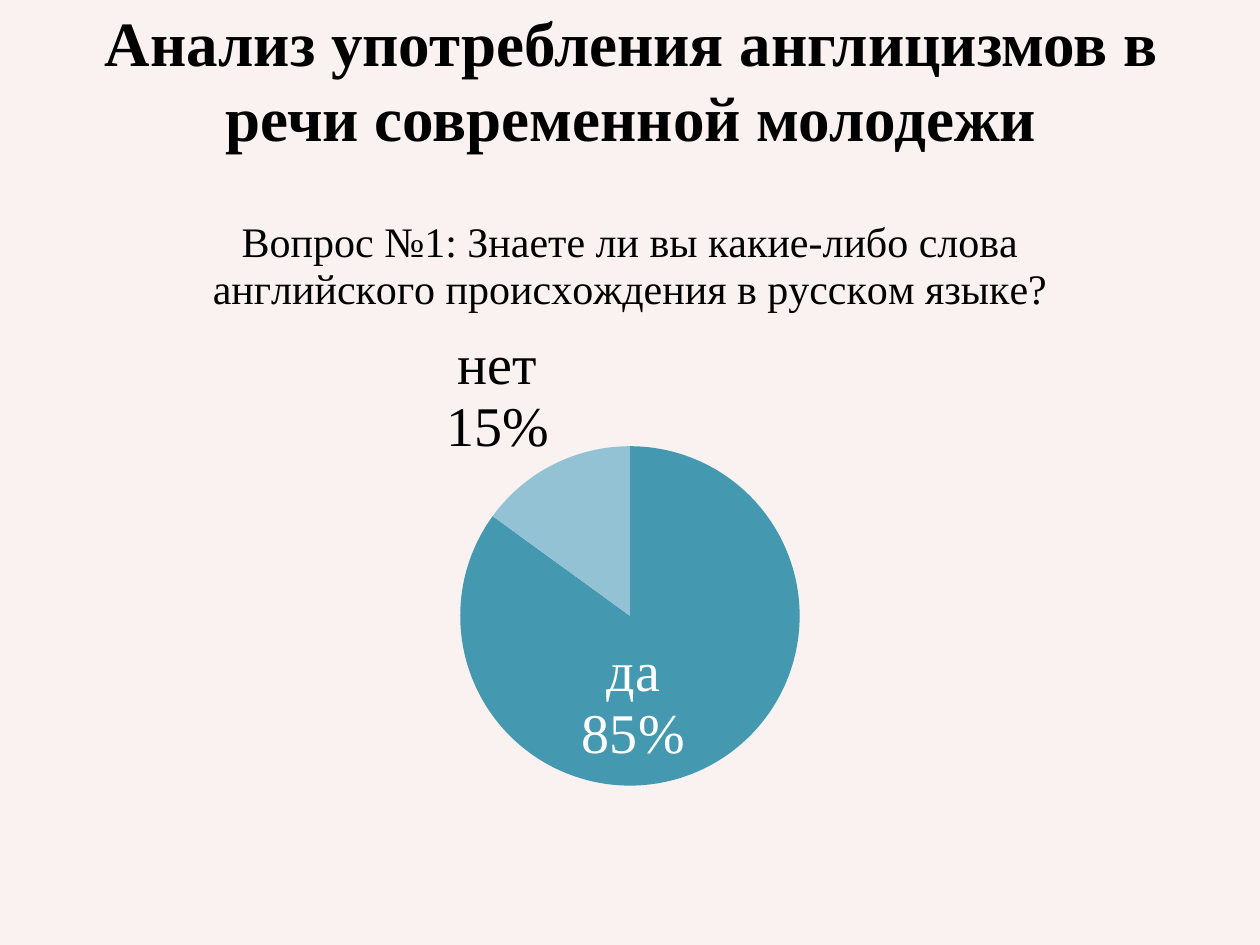
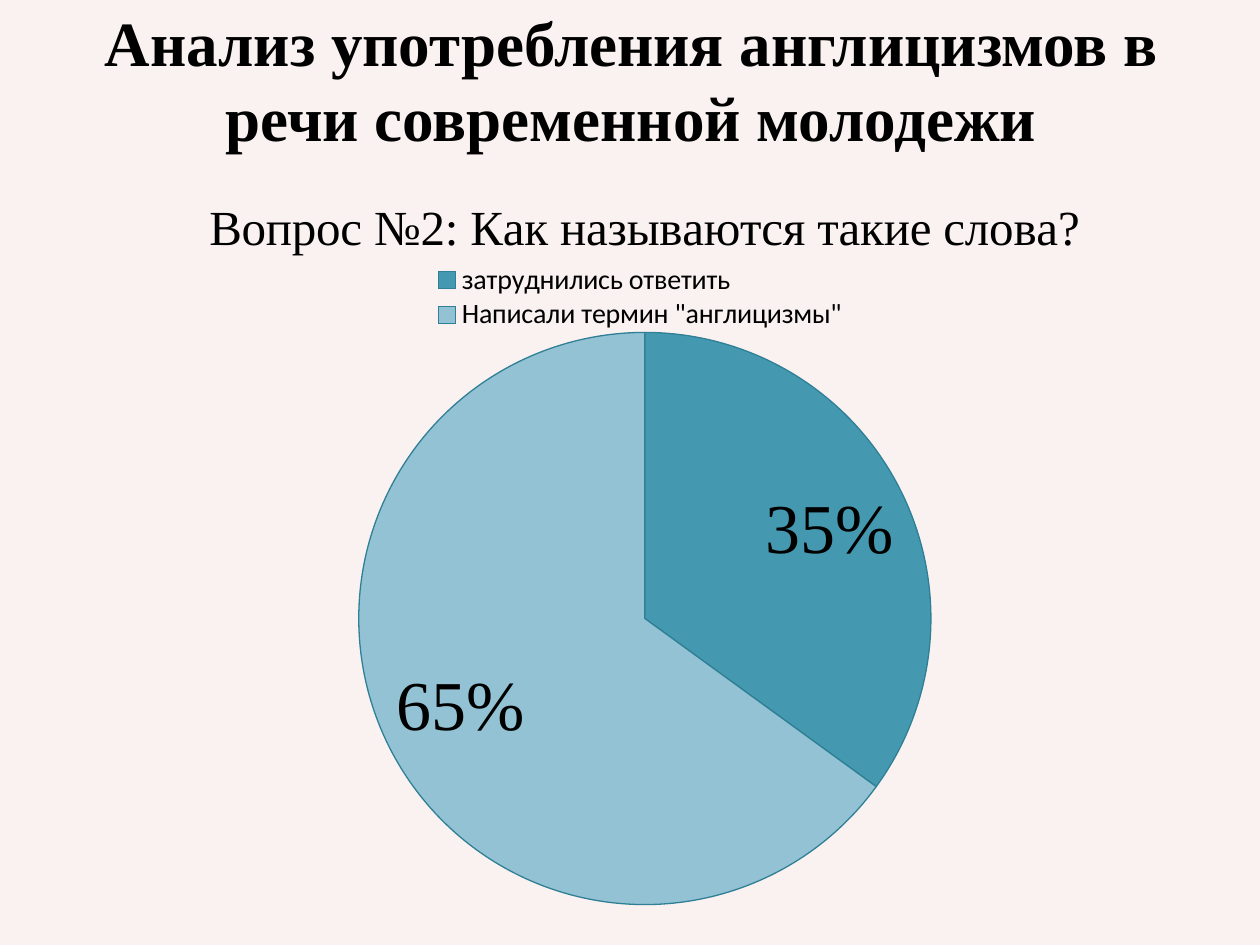
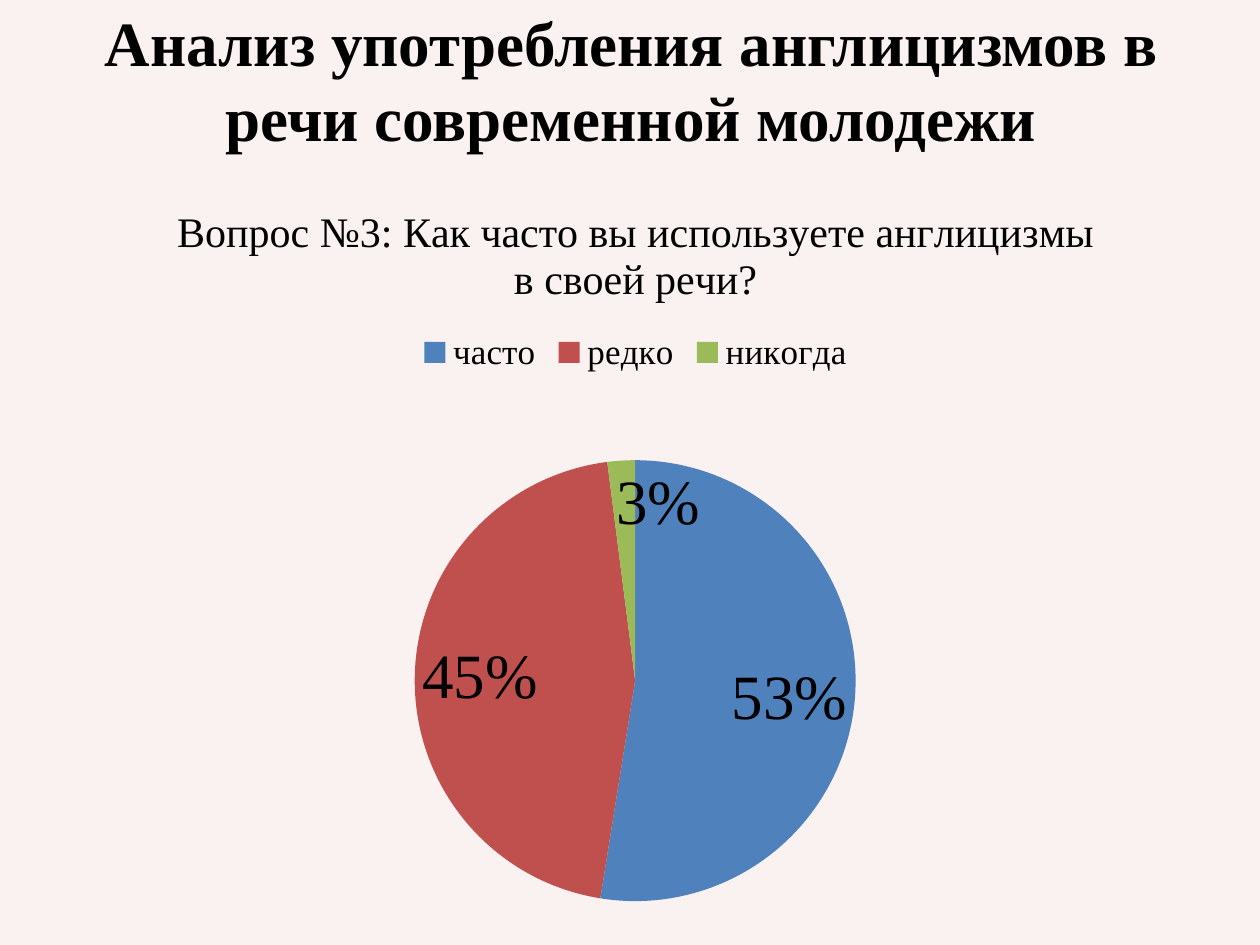
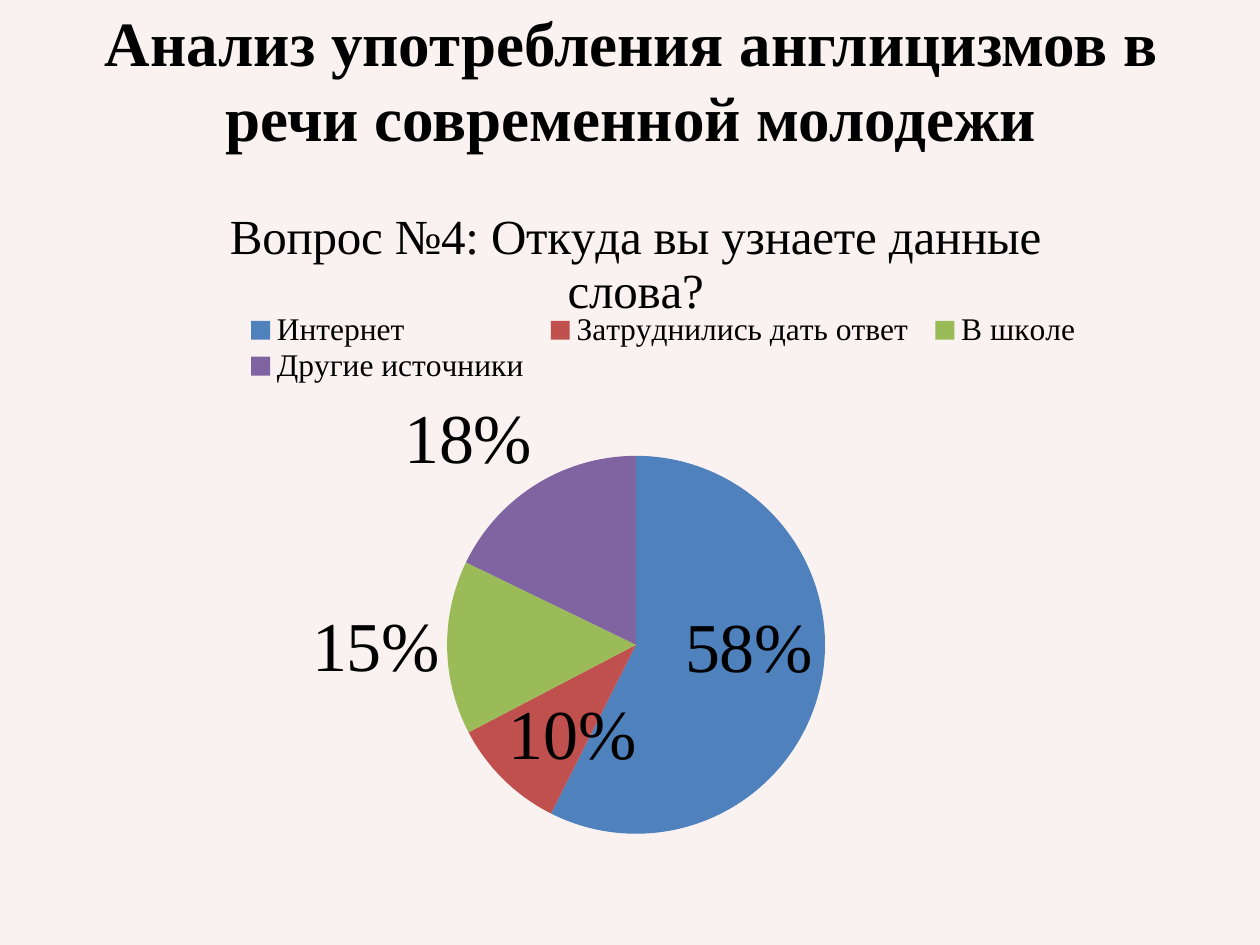
from dataclasses import dataclass

from lxml.etree import SubElement
from pptx import Presentation
from pptx.chart.chart import Chart
from pptx.chart.data import CategoryChartData
from pptx.dml.color import RGBColor
from pptx.enum.chart import XL_CHART_TYPE, XL_LABEL_POSITION, XL_LEGEND_POSITION
from pptx.enum.text import MSO_ANCHOR, MSO_AUTO_SIZE, PP_ALIGN
from pptx.oxml.ns import qn
from pptx.oxml.xmlchemy import BaseOxmlElement
from pptx.slide import Slide
from pptx.util import Pt

# Shared look
COLORS = {
    "background": "FAF1F1",
    "text": "000000",
    "white": "FFFFFF",
    "teal": "4499B1",
    "light_teal": "92C2D4",
    "dark_teal": "2F7F95",
    "blue": "4F81BD",
    "red": "C0504D",
    "green": "9BBB59",
    "purple": "8064A2",
}
SERIF = "Times New Roman"
SANS = "Calibri"
HEADING = "Анализ употребления англицизмов в речи современной молодежи"

INSIDE = XL_LABEL_POSITION.INSIDE_END
OUTSIDE = XL_LABEL_POSITION.OUTSIDE_END
CENTER = XL_LABEL_POSITION.CENTER

Box = tuple[float, float, float, float]


@dataclass(frozen=True)
class Answer:
    """One slice; shift moves its label by points, text replaces its percentage."""
    name: str
    share: int
    color: str
    label_at: XL_LABEL_POSITION = INSIDE
    label_color: str = "text"
    shift: tuple[float, float] = (0, 0)
    text: str = ""


@dataclass(frozen=True)
class Question:
    """One survey question; boxes and the pie centre are in slide points."""
    title: str
    title_size: int
    frame: Box
    pie_center: tuple[float, float]
    pie_radius: float
    label_size: int
    answers: tuple[Answer, ...]
    legend_size: int = 0
    legend_font: str = SERIF
    legend_box: Box | None = None
    outline: str = ""
    names_in_labels: bool = False


QUESTIONS = (
    Question(
        "Вопрос №1: Знаете ли вы какие-либо слова английского происхождения в русском языке?",
        24, (8.64, 105.84, 702.72, 419.76), (360, 352), 97, 32,
        (Answer("да", 85, "teal", CENTER, "white", shift=(-20, 7)),
         Answer("нет", 15, "light_teal", OUTSIDE)),
        names_in_labels=True,
    ),
    Question(
        "Вопрос №2: Как называются такие слова?",
        28, (30.96, 94.32, 674.64, 436.32), (368.5, 353.5), 163.5, 40,
        (Answer("затруднились ответить", 35, "teal"),
         Answer('Написали термин "англицизмы"', 65, "light_teal")),
        legend_size=16, legend_font=SANS, legend_box=(246, 150, 240, 40),
        outline="dark_teal",
    ),
    Question(
        "Вопрос №3: Как часто вы используете англицизмы в своей речи?",
        24, (20.16, 100.08, 686.16, 425.52), (363, 389), 126, 36,
        (Answer("часто", 52, "blue"),
         Answer("редко", 45, "red"),
         Answer("никогда", 2, "green", shift=(21, 0), text="3%")),
        legend_size=20,
    ),
    Question(
        "Вопрос №4: Откуда вы узнаете данные слова?",
        28, (20.16, 100.08, 686.16, 414), (363.5, 368.5), 108, 40,
        (Answer("Интернет", 58, "blue", text="58%"),
         Answer("Затруднились дать ответ", 10, "red"),
         Answer("В школе", 15, "green", OUTSIDE),
         Answer("Другие источники", 18, "purple", OUTSIDE)),
        legend_size=18, legend_box=(134, 178, 490, 42),
    ),
)


def rgb(color: str) -> RGBColor:
    return RGBColor.from_string(COLORS[color])


def style_font(font, size: float, name: str = SERIF, color: str = "text",
               bold: bool = False) -> None:
    font.size = Pt(size)
    font.name = name
    font.bold = bold
    font.color.rgb = rgb(color)


def set_layout(parent: BaseOxmlElement, index: int, **values: str | float) -> None:
    """Give a chart part a manual layout, as its child number index."""
    for old in parent.findall(qn("c:layout")):
        parent.remove(old)
    layout = SubElement(parent, qn("c:layout"))
    manual = SubElement(layout, qn("c:manualLayout"))
    for tag, value in values.items():
        SubElement(manual, qn(f"c:{tag}")).set("val", str(value))
    parent.insert(index, layout)


def box_fractions(box: Box, frame: Box) -> dict[str, float]:
    """Turn a box on the slide into fractions of the chart frame."""
    left, top, width, height = box
    return {
        "x": (left - frame[0]) / frame[2],
        "y": (top - frame[1]) / frame[3],
        "w": width / frame[2],
        "h": height / frame[3],
    }


def add_heading(slide: Slide) -> None:
    heading = slide.shapes.title
    heading.left, heading.top = Pt(36.72), Pt(0)
    heading.width, heading.height = Pt(648), Pt(90)
    frame = heading.text_frame
    frame.word_wrap = True
    frame.auto_size = MSO_AUTO_SIZE.NONE
    frame.vertical_anchor = MSO_ANCHOR.MIDDLE
    paragraph = frame.paragraphs[0]
    paragraph.alignment = PP_ALIGN.CENTER
    run = paragraph.add_run()
    run.text = HEADING
    style_font(run.font, 36, bold=True)


def add_legend(chart: Chart, question: Question) -> None:
    chart.has_legend = True
    legend = chart.legend
    legend.position = XL_LEGEND_POSITION.TOP
    legend.include_in_layout = False
    style_font(legend.font, question.legend_size, question.legend_font)
    if question.legend_box:
        set_layout(chart._chartSpace.xpath("c:chart/c:legend")[0], 1,
                   xMode="edge", yMode="edge",
                   **box_fractions(question.legend_box, question.frame))


def add_labels(chart: Chart, question: Question) -> None:
    series = chart.plots[0].series[0]
    labels = series.data_labels
    labels.number_format = "0%"
    labels.number_format_is_linked = False
    labels.position = INSIDE
    style_font(labels.font, question.label_size)

    # Labels that differ from the series default
    for index, answer in enumerate(question.answers):
        label = series.points[index].data_label
        if answer.text:
            run = label.text_frame.paragraphs[0].add_run()
            run.text = answer.text
            style_font(run.font, question.label_size, color=answer.label_color)
        else:
            style_font(label.font, question.label_size, color=answer.label_color)
        label.position = answer.label_at
        if any(answer.shift):
            element = chart._chartSpace.xpath(f'.//c:dLbl[c:idx/@val="{index}"]')[0]
            set_layout(element, 1, x=answer.shift[0] / question.frame[2],
                       y=answer.shift[1] / question.frame[3])

    # What every label shows
    flags = {"showVal": 0, "showPercent": 1, "showLeaderLines": 0,
             "showCatName": int(question.names_in_labels)}
    for tag, value in flags.items():
        for flag in chart._chartSpace.xpath(f".//c:{tag}"):
            flag.set("val", str(value))
    if question.names_in_labels:
        for flag in chart._chartSpace.xpath(".//c:showBubbleSize"):
            separator = SubElement(flag.getparent(), qn("c:separator"))
            separator.text = "\n"
            flag.addnext(separator)


def add_pie(slide: Slide, question: Question) -> None:
    data = CategoryChartData()
    data.categories = [answer.name for answer in question.answers]
    data.add_series("Series 1", [answer.share for answer in question.answers])
    left, top, width, height = map(Pt, question.frame)
    chart = slide.shapes.add_chart(XL_CHART_TYPE.PIE, left, top, width, height, data).chart
    style_font(chart.font, 10, SANS)

    # Question as chart title
    chart.has_title = True
    run = chart.chart_title.text_frame.paragraphs[0].add_run()
    run.text = question.title
    style_font(run.font, question.title_size)

    # Slices
    plot = chart.plots[0]
    plot.vary_by_categories = True
    for index, answer in enumerate(question.answers):
        slice_format = plot.series[0].points[index].format
        slice_format.fill.solid()
        slice_format.fill.fore_color.rgb = rgb(answer.color)
        if question.outline:
            slice_format.line.color.rgb = rgb(question.outline)
            slice_format.line.width = Pt(0.75)
        else:
            slice_format.line.fill.background()

    (center_x, center_y), radius = question.pie_center, question.pie_radius
    pie_box = (center_x - radius, center_y - radius, 2 * radius, 2 * radius)
    set_layout(chart._chartSpace.xpath("c:chart/c:plotArea")[0], 0,
               layoutTarget="inner", xMode="edge", yMode="edge",
               **box_fractions(pie_box, question.frame))

    chart.has_legend = False
    if question.legend_size:
        add_legend(chart, question)
    add_labels(chart, question)


def main() -> None:
    deck = Presentation()
    deck.slide_width, deck.slide_height = Pt(720), Pt(540)
    title_only = deck.slide_layouts[5]
    for question in QUESTIONS:
        slide = deck.slides.add_slide(title_only)
        slide.background.fill.solid()
        slide.background.fill.fore_color.rgb = rgb("background")
        add_heading(slide)
        add_pie(slide, question)
    deck.save("out.pptx")


if __name__ == "__main__":
    main()
